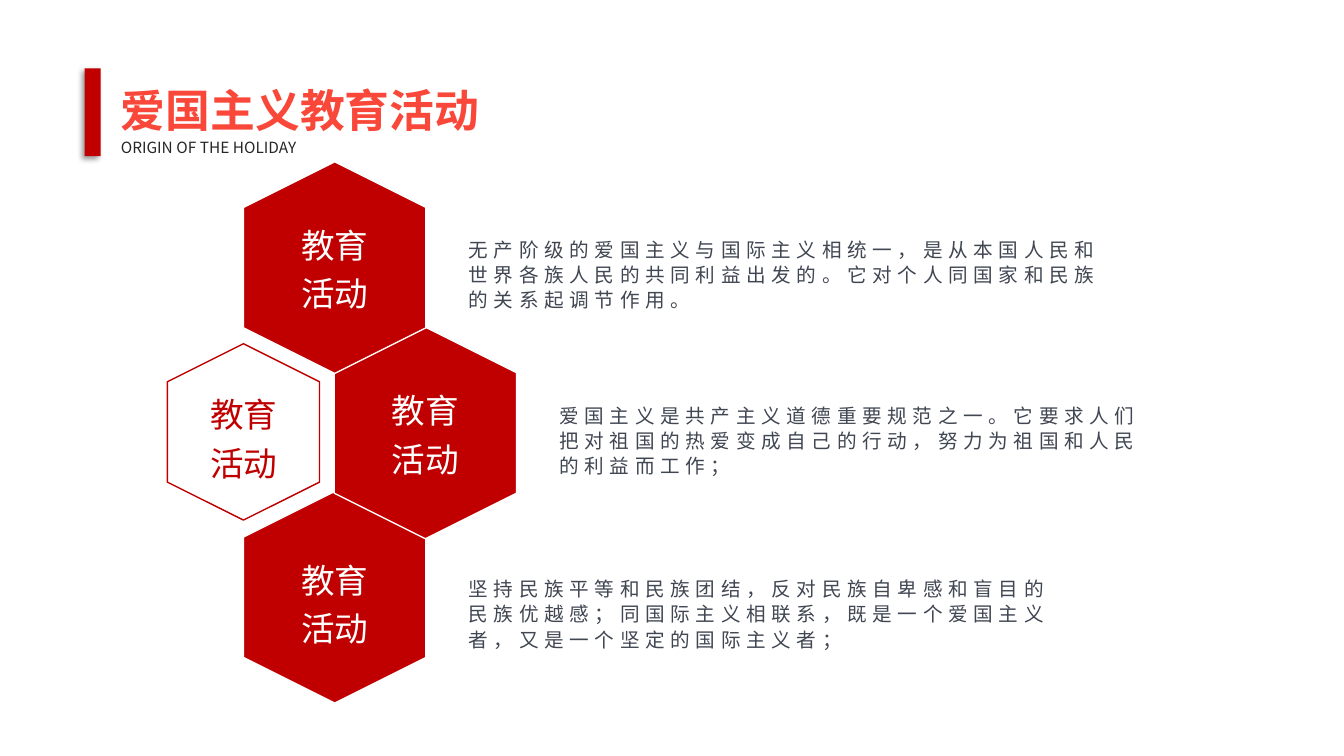
import pptx
import pptx.util
import pptx.dml.color
import pptx.enum.shapes
import pptx.enum.text
import pptx.oxml
import pptx.oxml.ns

Inches = pptx.util.Inches
Pt = pptx.util.Pt
Kind = pptx.enum.shapes.MSO_SHAPE
Align = pptx.enum.text.PP_ALIGN
SANS = "Noto Sans CJK SC"
RED = "C00000"
WHITE = "FFFFFF"

deck = pptx.Presentation()
deck.slide_width = Inches(13.33)
deck.slide_height = Inches(7.5)
slide = deck.slides.add_slide(deck.slide_layouts[6])


def hue(code):
    return pptx.dml.color.RGBColor.from_string(code)


def write(text, left, top, width, height, size, color=None, face=SANS,
          bold=False, align=None, lead=None, track=0, pad=True):
    box = slide.shapes.add_textbox(Inches(left), Inches(top), Inches(width), Inches(height))
    frame = box.text_frame
    frame.word_wrap = True
    frame.auto_size = pptx.enum.text.MSO_AUTO_SIZE.SHAPE_TO_FIT_TEXT
    if not pad:
        frame.margin_left = frame.margin_right = 0
        frame.margin_top = frame.margin_bottom = 0
    frame.text = text
    for para in frame.paragraphs:
        para.alignment = align
        para.line_spacing = lead
        run = para.runs[0]
        font = run.font
        font.size = Pt(size)
        font.bold = bold
        if color:
            font.color.rgb = hue(color)
        else:
            font.fill.gradient()
            font.fill.gradient_angle = 270
            stops = font.fill.gradient_stops
            for stop, (place, code) in zip(stops, [(0, "F94739"), (0.86, "BF2833")]):
                stop.position = place
                stop.color.rgb = hue(code)
        font.name = face
        props = run._r.get_or_add_rPr()
        east = pptx.oxml.parse_xml(f'<a:ea {pptx.oxml.ns.nsdecls("a")} typeface="{face}"/>')
        props.find(pptx.oxml.ns.qn("a:latin")).addnext(east)
        if track:
            props.set("spc", str(track * 100))


write("爱国主义教育活动", 1.1, 0.77, 4.07, 0.64, 32, face="Noto Sans CJK JP",
      bold=True, align=Align.JUSTIFY)
write("ORIGIN OF THE HOLIDAY", 1.1, 1.32, 3.51, 0.29, 11, "262626", align=Align.JUSTIFY)

bar = slide.shapes.add_shape(Kind.RECTANGLE, Inches(0.84), Inches(0.68), Inches(0.16), Inches(0.87))
bar.fill.solid()
bar.fill.fore_color.rgb = hue(RED)
bar.line.fill.background()
bar.shadow.inherit = False
glow = pptx.oxml.parse_xml(
    f'<a:outerShdw {pptx.oxml.ns.nsdecls("a")} blurRad="{Pt(4)}" dist="{Pt(3)}" '
    'dir="8100000" algn="tr" rotWithShape="0"><a:srgbClr val="000000">'
    '<a:alpha val="40000"/></a:srgbClr></a:outerShdw>')
bar._element.spPr.find(pptx.oxml.ns.qn("a:effectLst")).append(glow)

cells = [
    (1.54, 3.53, 1.75, 1.51, None, RED, 1.84, 3.83),
    (2.27, 5.02, 2.1, 1.81, RED, WHITE, 2.74, 5.47),
    (3.17, 3.39, 2.1, 1.81, RED, WHITE, 3.64, 3.79),
    (2.27, 1.75, 2.1, 1.81, RED, WHITE, 2.74, 2.15),
]
for left, top, width, height, fill, edge, _, _ in cells:
    hexa = slide.shapes.add_shape(Kind.HEXAGON, Inches(left), Inches(top), Inches(width), Inches(height))
    hexa.rotation = 270
    hexa.shadow.inherit = False
    if fill:
        hexa.fill.solid()
        hexa.fill.fore_color.rgb = hue(fill)
    else:
        hexa.fill.background()
    hexa.line.color.rgb = hue(edge)
    hexa.line.width = Pt(1)

for *_, ink, left, top in cells:
    write("教育\n活动", left, top, 1.16, 0.97, 24, ink, align=Align.CENTER, lead=1.2, pad=False)

notes = [
    (4.55, 2.29, 6.65, "无产阶级的爱国主义与国际主义相统一，是从本国人民和世界各族人民的共同利益出发的。它对个人同国家和民族的关系起调节作用。"),
    (5.45, 3.94, 6.08, "爱国主义是共产主义道德重要规范之一。它要求人们把对祖国的热爱变成自己的行动，努力为祖国和人民的利益而工作；"),
    (4.55, 5.66, 6.08, "坚持民族平等和民族团结，反对民族自卑感和盲目的民族优越感；同国际主义相联系，既是一个爱国主义者，又是一个坚定的国际主义者；"),
]
for left, top, width, text in notes:
    write(text, left, top, width, 0.86, 14, "404652", lead=Pt(18), track=4)

deck.save("out.pptx")
